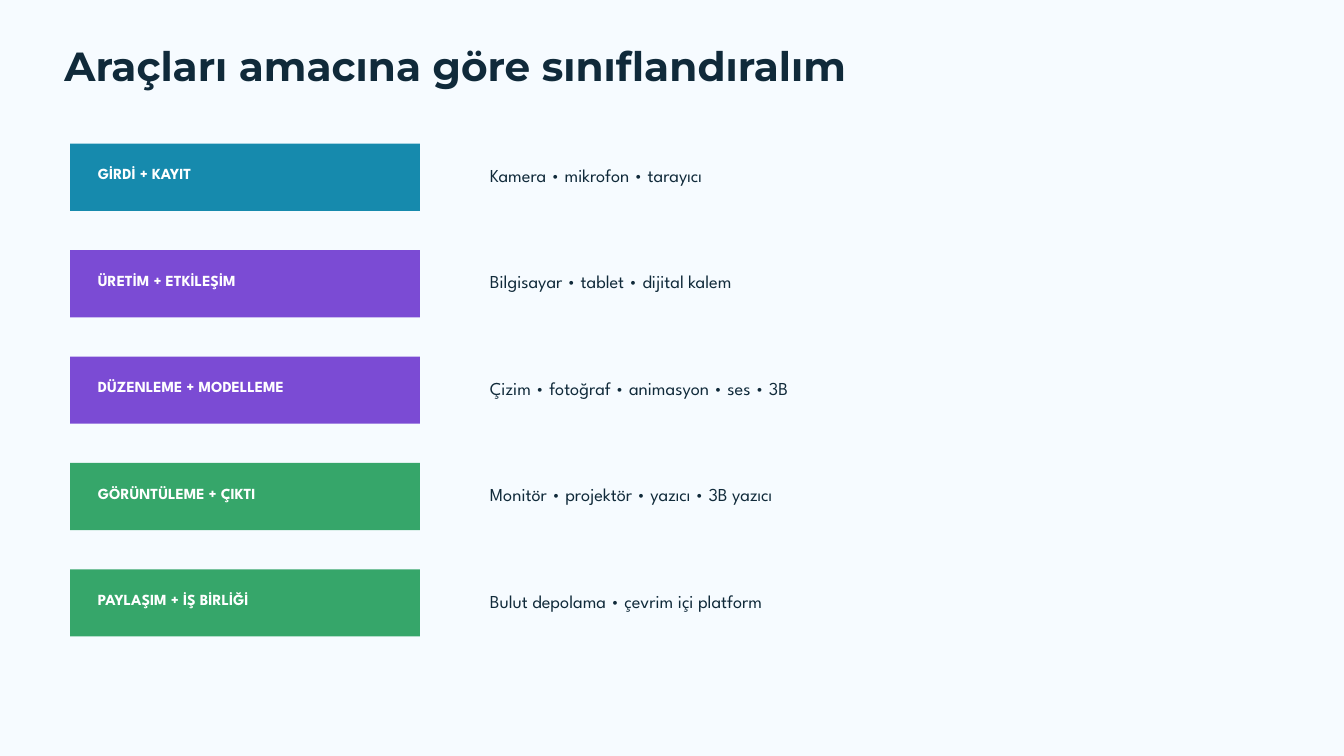
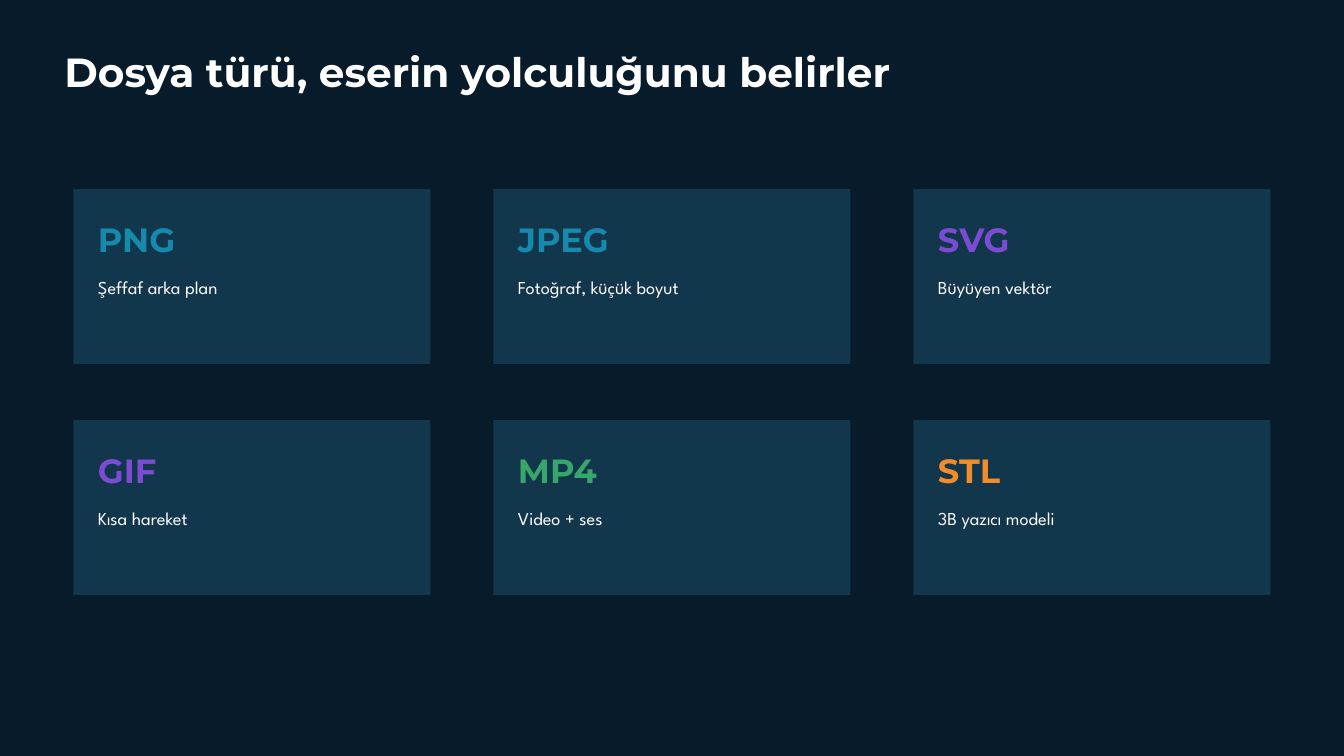
from dataclasses import dataclass

from pptx import Presentation
from pptx.dml.color import RGBColor
from pptx.enum.shapes import MSO_SHAPE
from pptx.enum.text import MSO_ANCHOR, MSO_AUTO_SIZE, PP_ALIGN
from pptx.util import Pt


@dataclass(frozen=True)
class Style:
    name: str
    size: float
    leading: float
    bold: bool = False


@dataclass(frozen=True)
class Theme:
    light: str = "F6FBFF"
    dark: str = "071B2B"
    ink: str = "102A3A"
    white: str = "FFFFFF"
    card: str = "12364B"
    blue: str = "168AAD"
    purple: str = "7B4BD4"
    green: str = "36A66A"
    orange: str = "F28C28"
    title: Style = Style("Montserrat", 43.5, 47, True)
    title_tight: Style = Style("Montserrat", 43.5, 45.2, True)
    label: Style = Style("League Spartan", 16.5, 19, True)
    body: Style = Style("League Spartan", 19.5, 24.4)
    file_type: Style = Style("Montserrat", 36, 50.4, True)


THEME = Theme()

CATEGORIES = [
    ("GİRDİ + KAYIT", "Kamera • mikrofon • tarayıcı", THEME.blue),
    ("ÜRETİM + ETKİLEŞİM", "Bilgisayar • tablet • dijital kalem", THEME.purple),
    ("DÜZENLEME + MODELLEME", "Çizim • fotoğraf • animasyon • ses • 3B", THEME.purple),
    ("GÖRÜNTÜLEME + ÇIKTI", "Monitör • projektör • yazıcı • 3B yazıcı", THEME.green),
    ("PAYLAŞIM + İŞ BİRLİĞİ", "Bulut depolama • çevrim içi platform", THEME.green),
]

FILE_TYPES = [
    ("PNG", "Şeffaf arka plan", THEME.blue),
    ("JPEG", "Fotoğraf, küçük boyut", THEME.blue),
    ("SVG", "Büyüyen vektör", THEME.purple),
    ("GIF", "Kısa hareket", THEME.purple),
    ("MP4", "Video + ses", THEME.green),
    ("STL", "3B yazıcı modeli", THEME.orange),
]


def set_attrs(target, values):
    for key, value in values.items():
        setattr(target, key, value)


def write(sp, text, style, color):
    tf = sp.text_frame
    set_attrs(tf, dict(
        margin_left=0, margin_top=0, margin_right=0, margin_bottom=0,
        word_wrap=True, vertical_anchor=MSO_ANCHOR.TOP,
        auto_size=MSO_AUTO_SIZE.SHAPE_TO_FIT_TEXT,
    ))
    p = tf.paragraphs[0]
    set_attrs(p, dict(alignment=PP_ALIGN.LEFT, line_spacing=Pt(style.leading), space_before=Pt(0)))
    r = p.add_run()
    r.text = text
    set_attrs(r.font, dict(name=style.name, size=Pt(style.size), bold=style.bold))
    r.font.color.rgb = RGBColor.from_string(color)


def add_text(shapes, left, top, width, height, text, style, color):
    sp = shapes.add_textbox(Pt(left), Pt(top), Pt(width), Pt(height))
    write(sp, text, style, color)


def add_panel(shapes, left, top, width, height, color):
    sp = shapes.add_shape(MSO_SHAPE.RECTANGLE, Pt(left), Pt(top), Pt(width), Pt(height))
    sp.shadow.inherit = False
    sp.fill.solid()
    sp.fill.fore_color.rgb = RGBColor.from_string(color)
    sp.line.fill.background()


def add_titled_slide(prs, title, top, style, color, background):
    s = prs.slides.add_slide(prs.slide_layouts[5])
    s.background.fill.solid()
    s.background.fill.fore_color.rgb = RGBColor.from_string(background)
    sp = s.shapes.title
    set_attrs(sp, dict(left=Pt(69), top=Pt(top), width=Pt(1237.5), height=Pt(style.leading)))
    write(sp, title, style, color)
    return s


def add_category_row(s, left, top, width, height, label, tools, color):
    shapes = s.shapes.add_group_shape().shapes
    add_panel(shapes, left, top, width, height, color)
    add_text(shapes, left + 30, top + 23, 382.5, 19, label, THEME.label, THEME.white)
    add_text(shapes, left + width + 75, top + 21, 765, 24.4, tools, THEME.body, THEME.ink)


def add_file_card(s, left, top, width, height, file_type, use, color):
    shapes = s.shapes.add_group_shape().shapes
    add_panel(shapes, left, top, width, height, THEME.card)
    add_text(shapes, left + 26.25, top + 24.5, 135, 46.8, file_type, THEME.file_type, color)
    add_text(shapes, left + 26.25, top + 93, 337.5, 24.4, use, THEME.body, THEME.white)


def build_categories(prs):
    s = add_titled_slide(prs, "Araçları amacına göre sınıflandıralım", 49.5,
                         THEME.title, THEME.ink, THEME.light)
    for i, category in enumerate(CATEGORIES):
        add_category_row(s, 75, 154 + i * 114, 375, 72, *category)


def build_file_types(prs):
    s = add_titled_slide(prs, "Dosya türü, eserin yolculuğunu belirler", 57.5,
                         THEME.title_tight, THEME.white, THEME.dark)
    for i, file_type in enumerate(FILE_TYPES):
        row, col = divmod(i, 3)
        add_file_card(s, 78.75 + col * 450, 202.5 + row * 247.5, 382.5, 187.5, *file_type)


def main():
    prs = Presentation()
    set_attrs(prs, dict(slide_width=Pt(1440), slide_height=Pt(810)))
    build_categories(prs)
    build_file_types(prs)
    prs.save("out.pptx")


if __name__ == "__main__":
    main()
